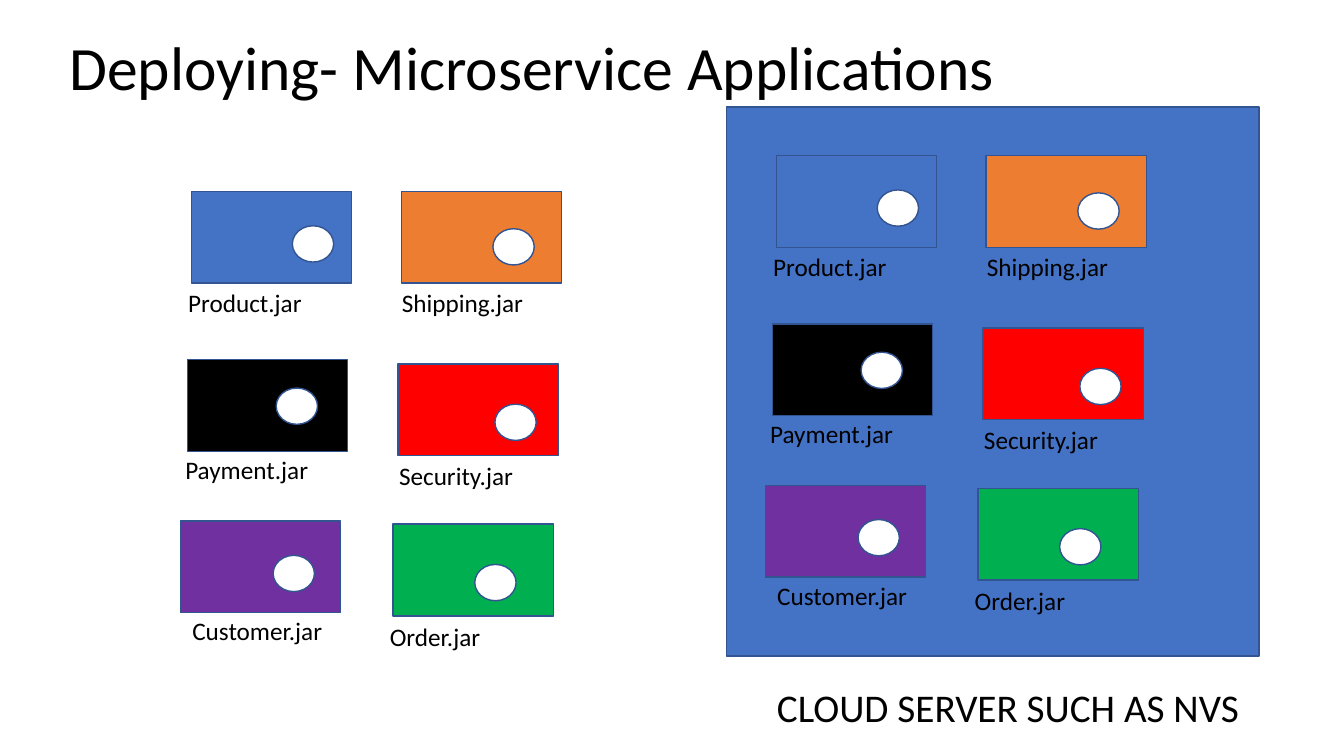
from dataclasses import dataclass

from pptx import Presentation
from pptx.dml.color import RGBColor
from pptx.enum import shapes, text
from pptx.util import Pt


@dataclass(frozen=True)
class Theme:
    """Colours, font and type sizes of the slide."""
    font: str = "Calibri"
    title: int = 44
    caption: int = 28
    label: int = 18
    ink: str = "000000"
    outline: str = "325491"
    white: str = "FFFFFF"
    blue: str = "4472C4"
    orange: str = "ED7D31"
    black: str = "000000"
    red: str = "FF0000"
    purple: str = "7030A0"
    green: str = "00B050"


T = Theme()
RECT = shapes.MSO_SHAPE.RECTANGLE
OVAL = shapes.MSO_SHAPE.OVAL
BOX_SIZE = (114.5, 65.5)
DOT_SIZE = (29.5, 25.9)
LABEL_HEIGHT = 28.8

# name, fill, box position, dot position, label position, label width
JARS = [
    ("Product.jar", T.blue, (136.8, 136.8), (208.8, 161.3), (127.4, 201.6), 96.5),
    ("Shipping.jar", T.orange, (286.6, 136.8), (352.1, 163.4), (280, 201.6), 102.2),
    ("Payment.jar", T.black, (133.9, 257), (197.3, 277.2), (125.3, 321.1), 103),
    ("Security.jar", T.red, (284.4, 259.9), (353.5, 288.7), (278, 325.4), 96.5),
    ("Customer.jar", T.purple, (128.9, 372.2), (195.1, 396.7), (130.3, 436.3), 108),
    ("Order.jar", T.green, (280.8, 374.4), (339.1, 403.2), (271.4, 440), 80),
]
LOCAL = (0, 0)
CLOUD = (417.8, -25.6)


def add_block(s, kind, pos, size, fill):
    """Add a filled preset shape with the common outline."""
    sp = s.shapes.add_shape(kind, *map(Pt, (*pos, *size)))
    sp.shadow.inherit = False
    sp.fill.solid()
    sp.fill.fore_color.rgb = RGBColor.from_string(fill)
    sp.line.color.rgb = RGBColor.from_string(T.outline)
    sp.line.width = Pt(1)
    return sp


def add_text(s, words, pos, size, points, wrap=True, anchor=text.MSO_ANCHOR.TOP):
    """Add a one-line text box."""
    tf = s.shapes.add_textbox(*map(Pt, (*pos, *size))).text_frame
    tf.word_wrap = wrap
    tf.vertical_anchor = anchor
    p = tf.paragraphs[0]
    p.text = words
    p.font.name = T.font
    p.font.size = Pt(points)
    p.font.color.rgb = RGBColor.from_string(T.ink)


def add_jars(s, offset):
    """Add the six jars with their labels, moved by offset."""
    def moved(pos):
        """Return pos shifted by the offset of the group."""
        return pos[0] + offset[0], pos[1] + offset[1]

    for name, fill, box, dot, label, width in JARS:
        add_block(s, RECT, moved(box), BOX_SIZE, fill)
        add_block(s, OVAL, moved(dot), DOT_SIZE, T.white)
        add_text(s, name, moved(label), (width, LABEL_HEIGHT), T.label, wrap=False)


def main():
    """Build and save the slide."""
    prs = Presentation()
    prs.slide_width, prs.slide_height = Pt(960), Pt(540)
    s = prs.slides.add_slide(prs.slide_layouts[6])
    add_text(s, "Deploying- Microservice Applications", (42.5, 16.6), (859.7, 60.5),
             T.title, anchor=text.MSO_ANCHOR.MIDDLE)
    add_jars(s, LOCAL)
    add_block(s, RECT, (519.1, 76.3), (380.2, 392.4), T.blue)
    add_jars(s, CLOUD)
    add_text(s, "CLOUD SERVER SUCH AS NVS", (547.9, 484.6), (354.2, 41), T.caption)
    prs.save("out.pptx")


main()
